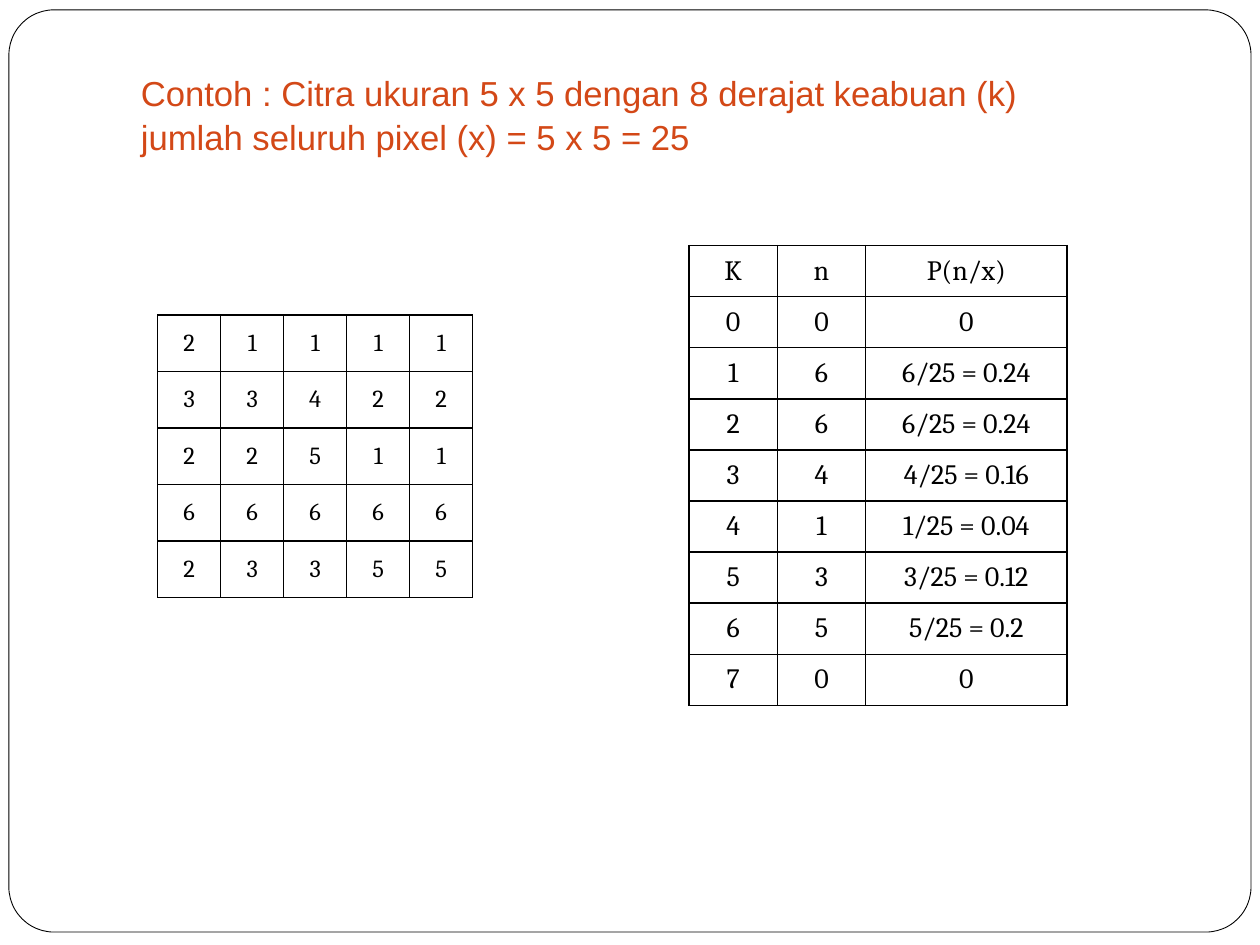
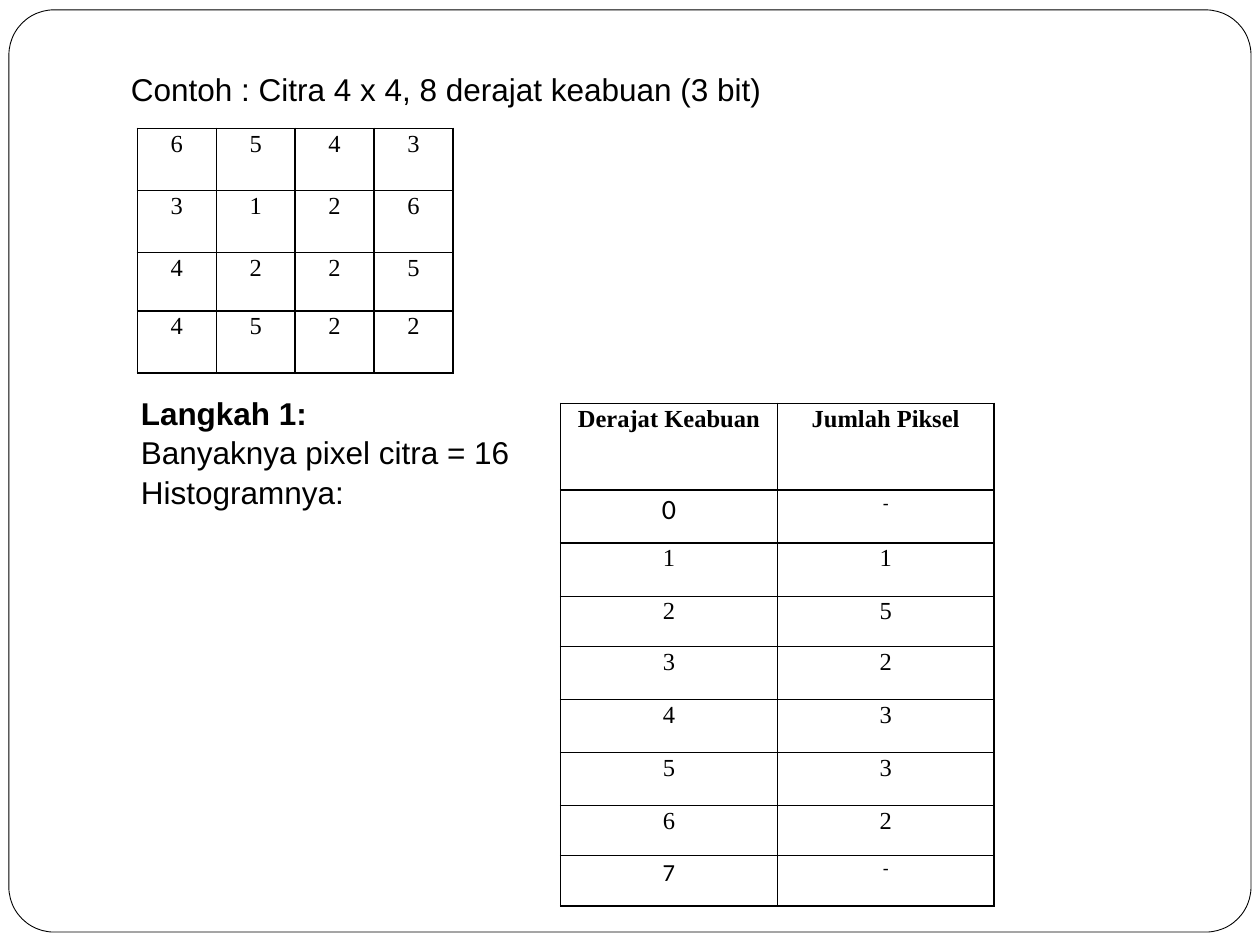
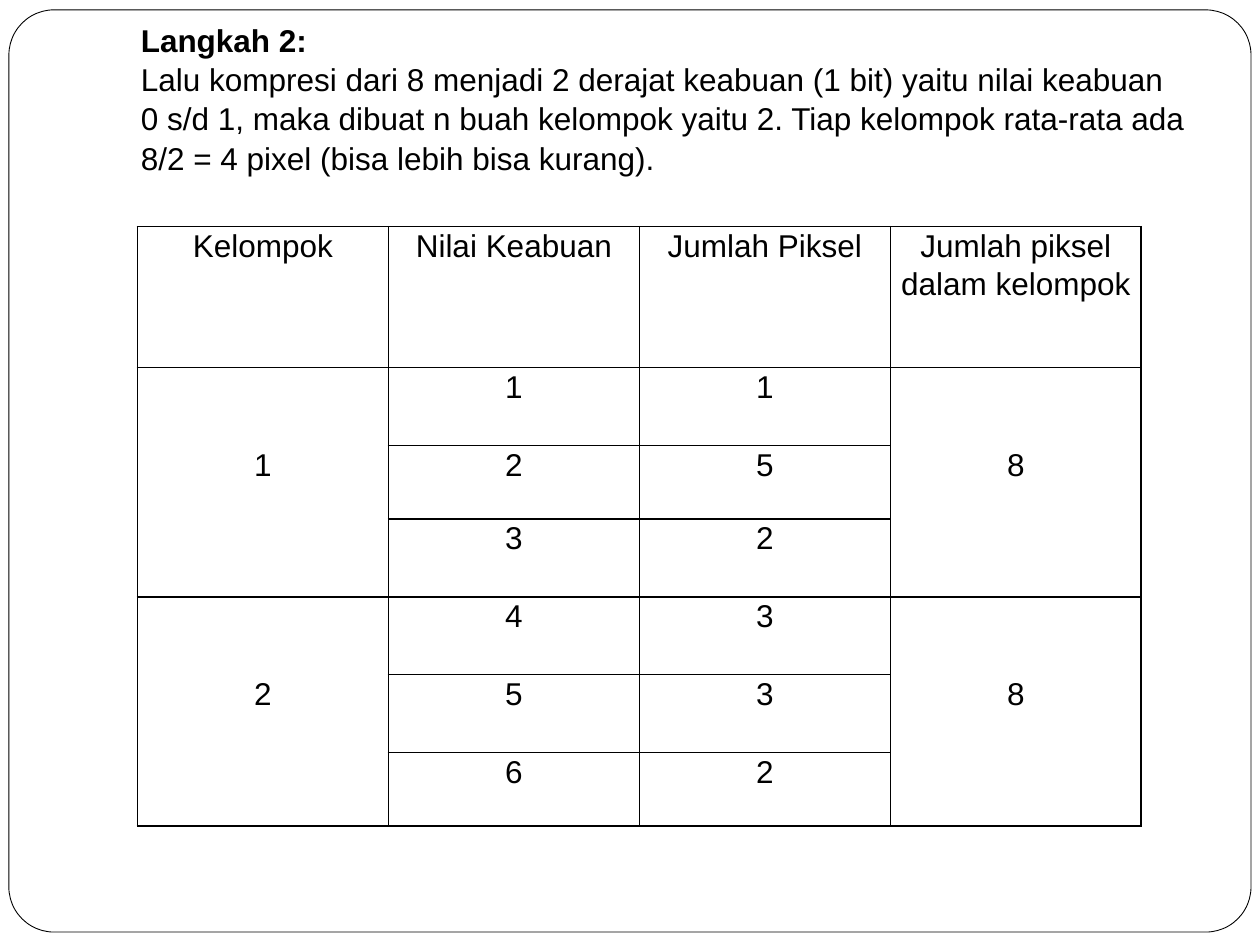
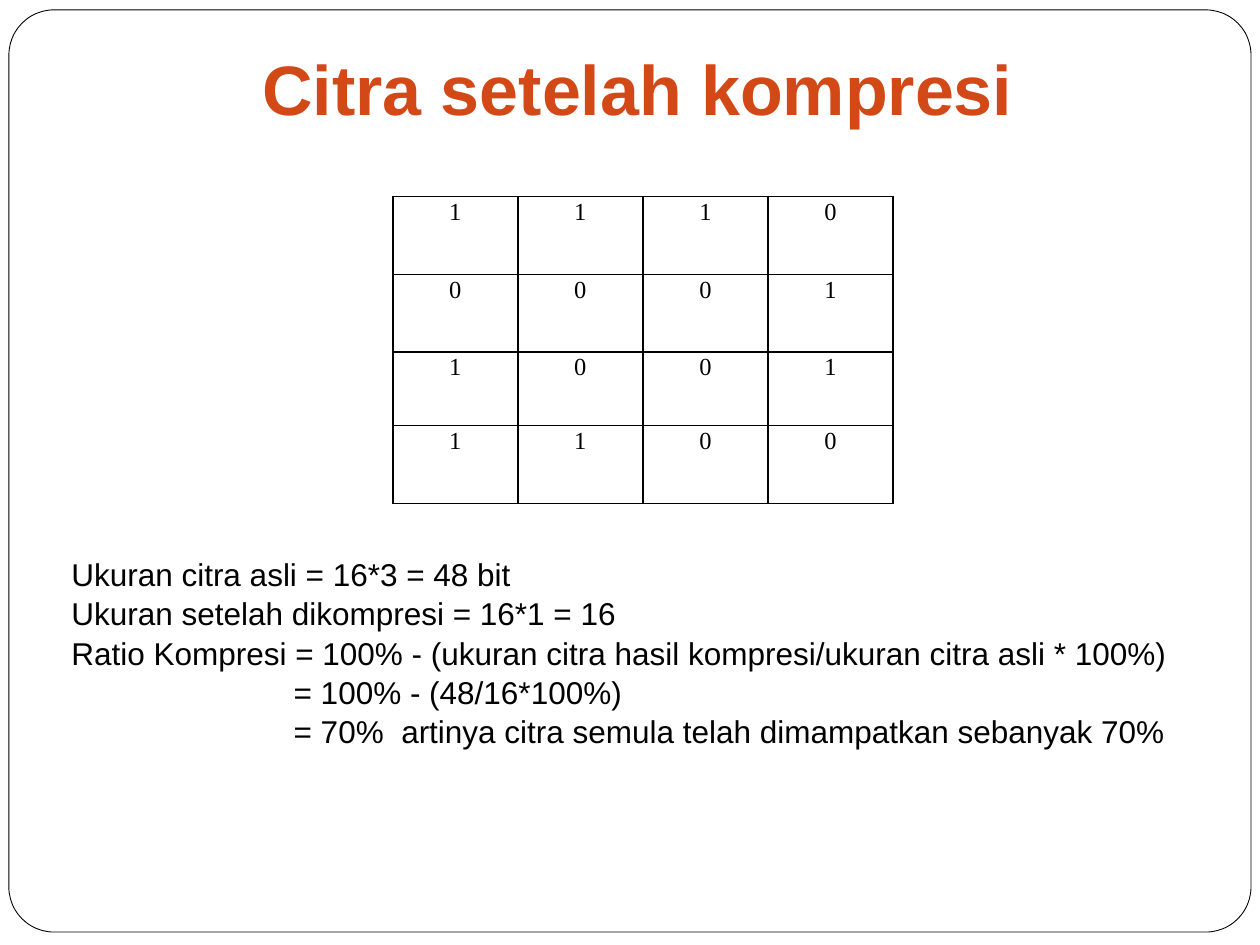
from collections import Counter
from dataclasses import dataclass

from lxml.etree import SubElement
from pptx import Presentation
from pptx.dml.color import RGBColor
from pptx.enum.shapes import MSO_SHAPE as Preset
from pptx.enum.text import MSO_ANCHOR as Anchor, PP_ALIGN as Align
from pptx.oxml.ns import qn
from pptx.util import Cm, Pt


@dataclass(frozen=True)
class Type:
    font: str
    size: float
    color: str = "000000"
    bold: bool = False
    spacing: float = 1.0


class Theme:
    paper = "FFFFFF"
    ink = "000000"
    frame_line = 0.5
    grid_line = 1
    no_style = "{2D5ABB26-0587-4C30-8999-92F81FD0307C}"
    intro = Type("Arial", 19.8, "D34817", spacing=1.05)
    headline = Type("Arial", 40, "D34817", True)
    body = Type("Arial", 18, spacing=1.04)
    step = Type("Arial", 18, bold=True, spacing=1.04)
    pixel = Type("Cambria", 14)
    frequency = Type("Cambria", 16)
    serif = Type("Times New Roman", 14, spacing=1.07)
    serif_head = Type("Times New Roman", 14, bold=True, spacing=1.07)
    first_level = Type("Calibri", 16, spacing=1.07)
    last_level = Type("Calibri", 14, spacing=1.07)
    dash = Type("Calibri", 11, spacing=1.07)
    group = Type("Arial", 18, spacing=1.07)


@dataclass(frozen=True)
class Box:
    left: float
    top: float
    width: float
    height: float

    def region(self, left, top, width=0, height=0):
        return Box(self.left + left, self.top + top, width, height)

    def lengths(self):
        return [Cm(v) for v in (self.left, self.top, self.width, self.height)]


PAGE = Box(0, 0, 25.4, 19.05)
LEVELS = range(8)
ALL_SIDES = "LRTB"
SNUG = (0.18, 0)
COMPACT = (0.18, 0.1)
ROOMY = (0.25, 0.13)
PIXELS_5X5 = [[2, 1, 1, 1, 1], [3, 3, 4, 2, 2], [2, 2, 5, 1, 1], [6, 6, 6, 6, 6], [2, 3, 3, 5, 5]]
PIXELS_4X4 = [[6, 5, 4, 3], [3, 1, 2, 6], [4, 2, 2, 5], [4, 5, 2, 2]]
GROUPS = [(1, 2, 3), (4, 5, 6)]


def histogram(pixels):
    return Counter(value for row in pixels for value in row)


def style(paragraph, look, align=Align.LEFT):
    paragraph.alignment = align
    paragraph.line_spacing = look.spacing
    font = paragraph.runs[0].font if paragraph.runs else paragraph.font
    font.name, font.size, font.bold = look.font, Pt(look.size), look.bold
    font.color.rgb = RGBColor.from_string(look.color)


def text_block(slide, box, lines, align=Align.LEFT, anchor=Anchor.BOTTOM, wrap=True, below=0.25):
    frame = slide.shapes.add_textbox(*box.lengths()).text_frame
    frame.word_wrap = wrap
    frame.vertical_anchor = anchor
    frame.margin_bottom = Cm(below)
    frame.text = "\n".join(words for words, _ in lines)
    for paragraph, (_, look) in zip(frame.paragraphs, lines):
        style(paragraph, look, align)
    return frame


def border(cell, sides):
    properties = cell._tc.get_or_add_tcPr()
    for side in ALL_SIDES:
        edge = SubElement(properties, qn(f"a:ln{side}"), w=str(Pt(Theme.grid_line)))
        if side in sides:
            fill = SubElement(edge, qn("a:solidFill"))
            SubElement(fill, qn("a:srgbClr"), val=Theme.ink)
        else:
            SubElement(edge, qn("a:noFill"))


def grid(slide, box, rows, widths, heights, look, margins=SNUG, anchor=Anchor.TOP, special=None, sides=None):
    box = box.region(0, 0, sum(widths), sum(heights))
    table = slide.shapes.add_table(len(rows), len(widths), *box.lengths()).table
    table.first_row = table.horz_banding = False
    table._tbl.tblPr.find(qn("a:tableStyleId")).text = Theme.no_style
    for column, width in zip(table.columns, widths):
        column.width = Cm(width)
    for row, height in zip(table.rows, heights):
        row.height = Cm(height)
    for r, values in enumerate(rows):
        for c, value in enumerate(values):
            cell = table.cell(r, c)
            cell.text_frame.text = str(value)
            cell.vertical_anchor = anchor
            cell.margin_left = cell.margin_right = Cm(margins[0])
            cell.margin_top = cell.margin_bottom = Cm(margins[1])
            style(cell.text_frame.paragraphs[0], (special or {}).get((r, c), look), Align.CENTER)
            border(cell, (sides or {}).get((r, c), ALL_SIDES))
            cell.fill.background()


def page_frame(slide, box):
    frame = slide.shapes.add_shape(Preset.ROUNDED_RECTANGLE, *box.region(0.18, 0.2, 25.04, 18.59).lengths())
    frame.adjustments[0] = 0.049
    frame.shadow.inherit = False
    frame.fill.solid()
    frame.fill.fore_color.rgb = RGBColor.from_string(Theme.paper)
    frame.line.color.rgb = RGBColor.from_string(Theme.ink)
    frame.line.width = Pt(Theme.frame_line)


def probability_slide(slide, box):
    intro = ["Contoh : Citra ukuran 5 x 5 dengan 8 derajat keabuan (k)", "jumlah seluruh pixel (x) = 5 x 5 = 25"]
    text_block(slide, box.region(2.59, 1.57, 21.67, 3.35), [(line, Theme.intro) for line in intro], below=1.75)
    grid(slide, box.region(3.18, 6.35), PIXELS_5X5, [1.27] * 5, [1.14] * 5,
         Theme.pixel, COMPACT, Anchor.MIDDLE)
    counts = histogram(PIXELS_5X5)
    total = sum(counts.values())
    rows = [("K", "n", "P(n/x)")]
    for level in LEVELS:
        n = counts[level]
        rows.append((level, n, f"{n}/{total} = {n / total:g}" if n else 0))
    grid(slide, box.region(13.89, 4.95), rows, [1.78, 1.78, 4.06], [1.03] * 9,
         Theme.frequency, ROOMY, Anchor.MIDDLE)


def histogram_slide(slide, box):
    text_block(slide, box.region(2.39, 0.41, 21.59, 2.01),
               [("Contoh : Citra 4 x 4, 8 derajat keabuan (3 bit)", Theme.body)])
    grid(slide, box.region(2.77, 2.59), PIXELS_4X4, [1.59] * 4, [1.25, 1.25, 1.18, 1.25], Theme.serif)
    counts = histogram(PIXELS_4X4)
    rows = [("Derajat Keabuan", "Jumlah Piksel")]
    rows += [(level, counts[level] or "-") for level in LEVELS]
    special = {(0, 0): Theme.serif_head, (0, 1): Theme.serif_head,
               (1, 0): Theme.first_level, (1, 1): Theme.dash,
               (8, 0): Theme.last_level, (8, 1): Theme.dash}
    grid(slide, box.region(11.3, 8.13), rows, [4.37] * 2,
         [1.75, 1.07, 1.07, 1.01, 1.07, 1.07, 1.07, 1.01, 1.01], Theme.serif, special=special)
    text_block(slide, box.region(2.59, 8.53, 21.59, 2.01), [
        ("Langkah 1:", Theme.step),
        ("Banyaknya pixel citra = 16", Theme.body),
        ("Histogramnya:", Theme.body)])


def grouping_slide(slide, box):
    text_block(slide, box.region(2.59, 1.4, 21.59, 3.18), [
        ("Langkah 2:", Theme.step),
        ("Lalu kompresi dari 8 menjadi 2 derajat keabuan (1 bit) yaitu nilai keabuan 0 s/d 1, "
         "maka dibuat n buah kelompok yaitu 2. Tiap kelompok rata-rata ada 8/2 = 4 pixel "
         "(bisa lebih bisa kurang).", Theme.body)], below=1.02)
    counts = histogram(PIXELS_4X4)
    rows = [("Kelompok", "Nilai Keabuan", "Jumlah Piksel", "Jumlah piksel dalam kelompok")]
    sides = {}
    for number, levels in enumerate(GROUPS, 1):
        total = sum(counts[level] for level in levels)
        for level, open_sides in zip(levels, ("LRT", "LR", "LRB")):
            middle = level == levels[1]
            sides[len(rows), 0] = sides[len(rows), 3] = open_sides
            rows.append((number if middle else "", level, counts[level], total if middle else ""))
    grid(slide, box.region(2.77, 4.57), rows, [5.06] * 4,
         [2.84, 1.57, 1.48, 1.57, 1.57, 1.57, 1.48], Theme.group, sides=sides)


def result_slide(slide, box):
    lines = [
        "Ukuran citra asli = 16*3 = 48 bit",
        "Ukuran setelah dikompresi = 16*1 = 16",
        "Ratio Kompresi = 100% - (ukuran citra hasil kompresi/ukuran citra asli * 100%)",
        "= 100% - (48/16*100%)",
        "= 70%  artinya citra semula telah dimampatkan sebanyak 70%"]
    ratio = text_block(slide, box.region(1.19, 11.13, 23.37, 5.77), [(line, Theme.body) for line in lines], below=1.78)
    for paragraph in ratio.paragraphs[3:]:
        paragraph._p.get_or_add_pPr().set("marL", str(Cm(4.48)))
    compressed = [[int(value in GROUPS[1]) for value in row] for row in PIXELS_4X4]
    grid(slide, box.region(7.92, 3.96), compressed, [2.52] * 4, [1.57, 1.57, 1.48, 1.57], Theme.serif)
    text_block(slide, box.region(4.95, 0.79, 15.8, 1.96), [("Citra setelah kompresi", Theme.headline)],
               Align.CENTER, Anchor.TOP, wrap=False, below=0.13)


deck = Presentation()
deck.slide_width, deck.slide_height = Cm(PAGE.width), Cm(PAGE.height)
for build in (probability_slide, histogram_slide, grouping_slide, result_slide):
    slide = deck.slides.add_slide(deck.slide_layouts[6])
    page_frame(slide, PAGE)
    build(slide, PAGE)
deck.save("out.pptx")
